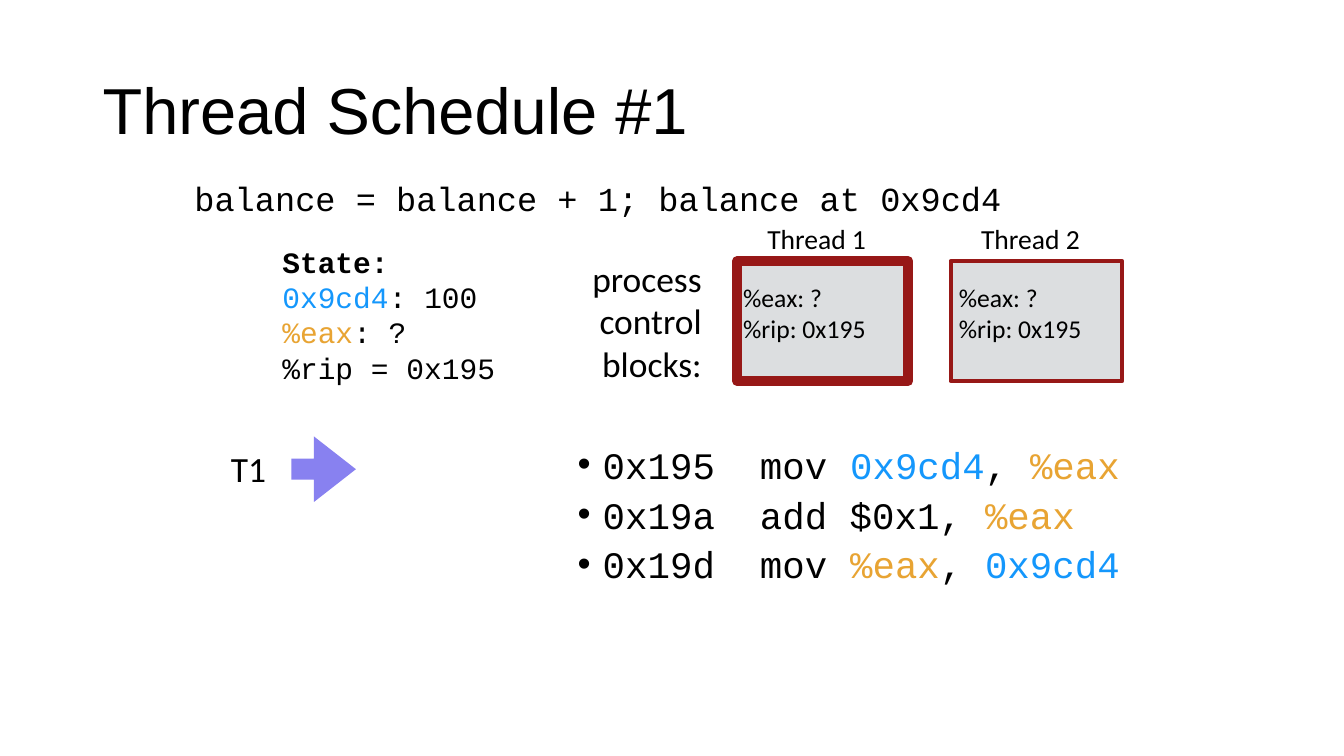
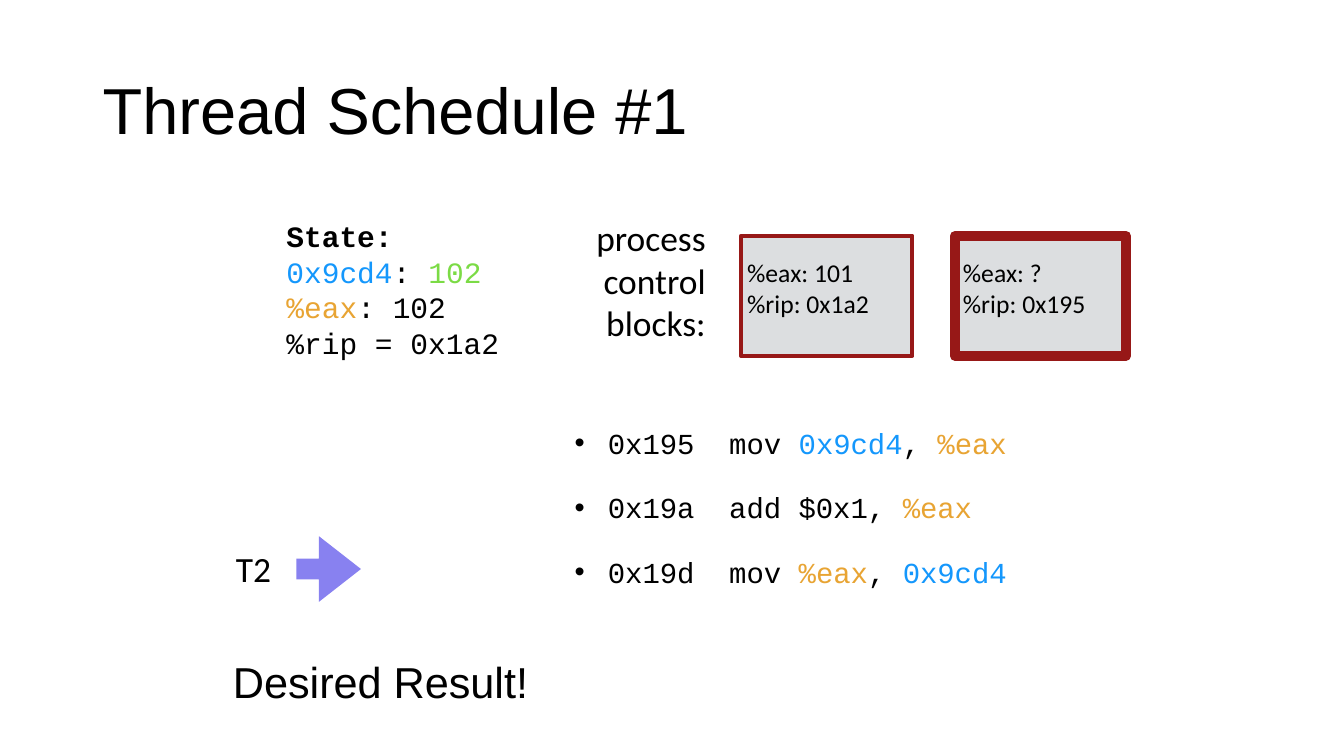
from dataclasses import dataclass
from lxml.etree import SubElement
from pptx import Presentation
from pptx.dml.color import RGBColor as Rgb
from pptx.enum.shapes import MSO_SHAPE as Shape
from pptx.enum.text import MSO_ANCHOR as Anchor, MSO_AUTO_SIZE as Auto, PP_ALIGN as Align
from pptx.oxml.ns import qn
from pptx.util import Inches, Pt


@dataclass(frozen=True)
class Theme:
    ink: str = "000000"
    blue: str = "1497FC"
    amber: str = "E8A433"
    green: str = "7BDB45"
    gray: str = "DCDEE0"
    red: str = "971817"
    violet: str = "8881F0"
    sans: str = "Arial"
    body: str = "Calibri"
    mono: str = "Courier New"
    title: float = 46.4
    result: float = 30.9
    label: float = 25.3
    source: float = 24
    state: float = 21.1
    head: float = 19.7
    block: float = 18.3
    thin: float = 3
    thick: float = 7


class Deck:
    def __init__(self, theme):
        self.theme = theme
        self.prs = Presentation()
        self.prs.slide_width = Inches(13.33)
        self.prs.slide_height = Inches(7.5)
        self.marks = {"0x9cd4": theme.blue, "%eax": theme.amber}

    def slide(self, title):
        self.page = self.prs.slides.add_slide(self.prs.slide_layouts[6])
        self.text((0.92, 0.4, 11.5, 1.45), [title], self.theme.sans, self.theme.title,
                  pad=(0.1, 0.05), wrap=True, lead=0.9)

    def text(self, box, lines, font, size, pad=(0.04, 0.04), anchor=Anchor.MIDDLE,
             align=Align.LEFT, wrap=False, lead=None, gap=0, hang=0, head=False):
        frame = self.page.shapes.add_textbox(*map(Inches, box)).text_frame
        frame.word_wrap = wrap
        frame.auto_size = Auto.NONE if wrap else Auto.SHAPE_TO_FIT_TEXT
        frame.vertical_anchor = anchor
        frame.margin_left = frame.margin_right = Inches(pad[0])
        frame.margin_top = frame.margin_bottom = Inches(pad[1])
        for i, line in enumerate(lines):
            para = frame.add_paragraph() if i else frame.paragraphs[0]
            para.alignment = align
            if lead:
                para.line_spacing = lead
            if i and gap:
                para.space_before = Pt(gap)
            if hang:
                self.bullet(para, hang)
            para.font.name = font
            para.font.size = Pt(size)
            para.font.bold = head and i == 0
            para.font.color.rgb = Rgb.from_string(self.theme.ink)
            for part in [line] if isinstance(line, str) else line:
                self.run(para, part)

    def run(self, para, part):
        word, tint = part if isinstance(part, tuple) else (part, self.marks.get(part))
        run = para.add_run()
        run.text = word
        run.font.name = para.font.name
        run.font.size = para.font.size
        run.font.bold = para.font.bold
        run.font.color.rgb = Rgb.from_string(tint or self.theme.ink)

    def bullet(self, para, hang):
        props = para._p.get_or_add_pPr()
        props.set("marL", str(Inches(hang)))
        props.set("indent", str(-Inches(hang)))
        SubElement(props, qn("a:buFont")).set("typeface", self.theme.sans)
        SubElement(props, qn("a:buChar")).set("char", "•")

    def shape(self, kind, box, fill, line=None):
        item = self.page.shapes.add_shape(kind, *map(Inches, box))
        item.shadow.inherit = False
        item.fill.solid()
        item.fill.fore_color.rgb = Rgb.from_string(fill)
        if line:
            item.line.color.rgb = Rgb.from_string(self.theme.red)
            item.line.width = Pt(line)
        else:
            item.line.fill.background()
        return item

    def state(self, left, top, lines):
        self.text((left, top, 2.22, 1.5), ["State:", *lines], self.theme.mono,
                  self.theme.state, head=True)

    def blocks(self, left, top, texts, live):
        t = self.theme
        for i in range(len(texts)):
            self.shape(Shape.RECTANGLE, (left + 2.12 * i, top, 1.7, 1.19), t.gray,
                       t.thick if i == live else t.thin)
        for i, lines in enumerate(texts):
            self.text((left + 0.06 + 2.14 * i, top + 0.21, 1.22, 0.62), lines,
                      t.body, t.block, pad=(0, 0), anchor=Anchor.TOP)

    def caption(self, left, top):
        self.text((left, top, 1.18, 1.36), ["process", "control", "blocks:"],
                  self.theme.body, self.theme.label, align=Align.RIGHT)

    def pointer(self, left, top, name):
        self.text((left, top, 0.43, 0.5), [name], self.theme.body, self.theme.label)
        arrow = self.shape(Shape.RIGHT_ARROW, (left + 0.64, top - 0.07, 0.64, 0.65),
                           self.theme.violet)
        arrow.adjustments[0] = 0.32
        arrow.adjustments[1] = 0.65

    def code(self, top, size, **style):
        lines = [["0x195  mov ", "0x9cd4", ", ", "%eax"],
                 ["0x19a  add $0x1, ", "%eax"],
                 ["0x19d  mov ", "%eax", ", ", "0x9cd4"]]
        self.text((5.63, top, 6.04, 1.51), lines, self.theme.mono, size,
                  anchor=Anchor.TOP, wrap=True, **style)


def main():
    theme = Theme()
    deck = Deck(theme)
    title = "Thread Schedule #1"
    fresh = ["%eax: ?", "%rip: 0x195"]

    deck.slide(title)
    deck.code(4.42, 26.7, pad=(0.1, 0.05), lead=0.8, gap=10, hang=0.25)
    deck.blocks(7.31, 2.59, [fresh, fresh], live=0)
    for i in range(2):
        deck.text((7.57 + 2.12 * i, 2.16, 1.07, 0.41), [f"Thread {i + 1}"],
                  theme.body, theme.head)
    deck.state(2.76, 2.37, [["0x9cd4", ": 100"], ["%eax", ": ?"], "%rip = 0x195"])
    deck.caption(5.82, 2.5)
    deck.pointer(2.25, 4.4, "T1")
    deck.text((1.83, 1.72, 8.54, 0.5), ["balance = balance + 1; balance at 0x9cd4"],
              theme.mono, theme.source, pad=(0.1, 0.05), anchor=Anchor.TOP)

    deck.slide(title)
    deck.blocks(7.35, 2.34, [["%eax: 101", "%rip: 0x1a2"], fresh], live=1)
    deck.state(2.8, 2.12, [["0x9cd4", ": ", ("102", theme.green)],
                           ["%eax", ": 102"], "%rip = 0x1a2"])
    deck.caption(5.86, 2.1)
    deck.pointer(2.3, 5.39, "T2")
    deck.text((2.27, 6.46, 3.05, 0.6), ["Desired Result!"], theme.sans, theme.result)
    deck.code(4.18, 20.7, pad=(0.07, 0.04), gap=21.3, hang=0.33)

    deck.prs.save("out.pptx")


if __name__ == "__main__":
    main()
